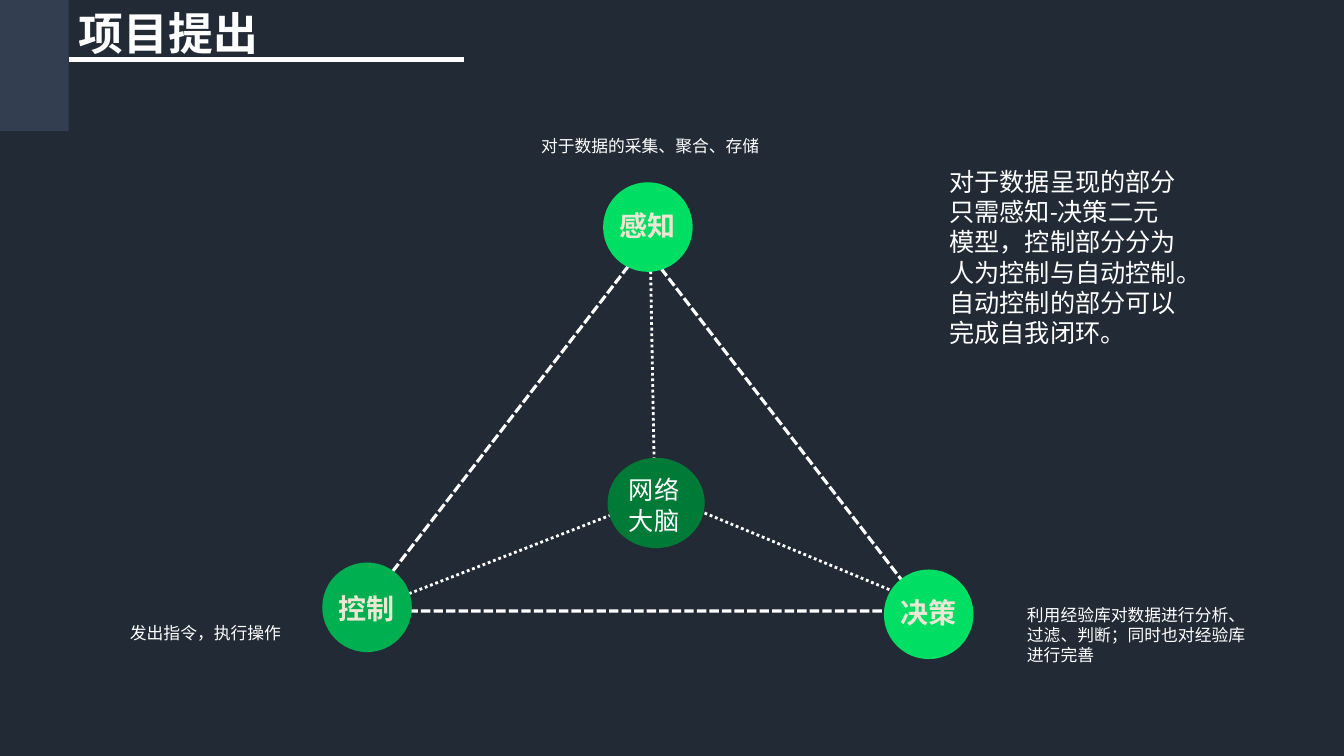
from lxml.etree import SubElement
from pptx import Presentation
from pptx.dml.color import RGBColor
from pptx.enum.dml import MSO_LINE
from pptx.enum.shapes import MSO_CONNECTOR, MSO_SHAPE
from pptx.enum.text import MSO_ANCHOR, MSO_AUTO_SIZE, PP_ALIGN
from pptx.oxml.ns import qn
from pptx.util import Pt

COLORS = {
    "background": "222A35",
    "corner": "333F50",
    "white": "FFFFFF",
    "cream": "EAE7D4",
    "bright": "00DE64",
    "green": "00B050",
    "dark": "007A37",
}
SANS = "Noto Sans CJK SC"
BODY = "Calibri"


def rgb(name):
    return RGBColor.from_string(COLORS[name])


def add_shape(s, kind, box, fill=None):
    sp = s.shapes.add_shape(kind, *map(Pt, box))
    sp.shadow.inherit = False
    if fill:
        sp.fill.solid()
        sp.fill.fore_color.rgb = rgb(fill)
    else:
        sp.fill.background()
    sp.line.fill.background()
    return sp


def style_line(line, width, dash=None):
    line.fill.solid()
    line.fill.fore_color.rgb = rgb("white")
    line.width = Pt(width)
    line.dash_style = dash


def add_line(s, start, end, width, dash=None):
    sp = s.shapes.add_connector(MSO_CONNECTOR.STRAIGHT, *map(Pt, start + end))
    style_line(sp.line, width, dash)
    SubElement(sp._element.spPr, qn("a:effectLst"))


def format_text(tf, size, font, color="white", bold=False, align=PP_ALIGN.LEFT):
    for p in tf.paragraphs:
        p.alignment = align
        for r in p.runs:
            r.font.size = Pt(size)
            r.font.name = font
            r.font.bold = bold
            r.font.color.rgb = rgb(color)


def add_text(s, box, text, size, font, wrap=True, **style):
    tf = s.shapes.add_textbox(*map(Pt, box)).text_frame
    tf.word_wrap = wrap
    tf.text = text
    format_text(tf, size, font, **style)


def add_header(s, x, y, w, h, text):
    # Corner block, with the title and its rule to the right
    corner_w = 49
    add_shape(s, MSO_SHAPE.RECTANGLE, (x, y, corner_w, h), "corner")
    add_line(s, (x + corner_w, y + 42.5), (x + w, y + 42.5), 3)
    title = s.shapes.title
    title.left, title.top = Pt(x + corner_w), Pt(y + 0.7)
    title.width, title.height = Pt(145), Pt(46)
    tf = title.text_frame
    tf.text = text
    tf.auto_size = MSO_AUTO_SIZE.NONE
    tf.vertical_anchor = MSO_ANCHOR.TOP
    format_text(tf, 32, SANS, bold=True)


def add_node(s, x, y, text, fill, label_dy=15):
    size, label_w, label_h = 64, 54.7, 31.7
    add_shape(s, MSO_SHAPE.OVAL, (x, y, size, size), fill)
    add_text(s, (x + (size - label_w) / 2, y + label_dy, label_w, label_h),
             text, 20, BODY, wrap=False, color="cream", bold=True)


def add_triangle(s, x, y, w, h):
    # Dotted spokes from the hub to the corners
    spokes = [((206, 10), (209, 173)), ((178, 192), (24, 252)),
              ((233.5, 186), (389, 250.5))]
    for (x1, y1), (x2, y2) in spokes:
        add_line(s, (x + x1, y + y1), (x + x2, y + y2), 2, MSO_LINE.ROUND_DOT)

    # Hub and dashed outline
    add_shape(s, MSO_SHAPE.OVAL, (x + 175.4, y + 151.2, 69.4, 64.5), "dark")
    outline = add_shape(s, MSO_SHAPE.ISOSCELES_TRIANGLE, (x, y, w, h))
    style_line(outline.line, 2.25, MSO_LINE.SQUARE_DOT)
    add_text(s, (x + 183.6, y + 159.8, 52.5, 51), "网络大脑", 18, BODY)

    # Corner nodes
    add_node(s, x + 172.2, y - 45.6, "感知", "bright")
    add_node(s, x + 372.8, y + 231, "决策", "bright")
    add_node(s, x - 28.4, y + 226, "控制", "green", label_dy=17.2)


def add_captions(s, x, y, w):
    # One caption beside each corner node
    captions = [
        (320.4, 0, 21.6, "对于数据的采集、聚合、存储", PP_ALIGN.LEFT),
        (0, 347.8, 21.6, "发出指令，执行操作", PP_ALIGN.CENTER),
        (667.5, 334.8, 51, "利用经验库对数据进行分析、过滤、判断；同时也对经验库进行完善",
         PP_ALIGN.LEFT),
    ]
    for dx, dy, h, text, align in captions:
        add_text(s, (x + dx, y + dy, w, h), text, 12, SANS, align=align)


def add_summary(s, x, y, w, h):
    add_text(s, (x, y, w, h),
             "对于数据呈现的部分只需感知-决策二元模型，控制部分分为人为控制与自动控制。\n"
             "自动控制的部分可以完成自我闭环。", 18, BODY)


def main():
    prs = Presentation()
    prs.slide_width, prs.slide_height = Pt(960), Pt(540)
    s = prs.slides.add_slide(prs.slide_layouts[5])
    s.background.fill.solid()
    s.background.fill.fore_color.rgb = rgb("background")

    add_header(s, 0, 0, 331.2, 93.6, "项目提出")
    add_triangle(s, 258.6, 175.8, 402.5, 260.6)
    add_captions(s, 59, 93.6, 175.7)
    add_summary(s, 671, 115.2, 177.8, 138.2)
    prs.save("out.pptx")


if __name__ == "__main__":
    main()
